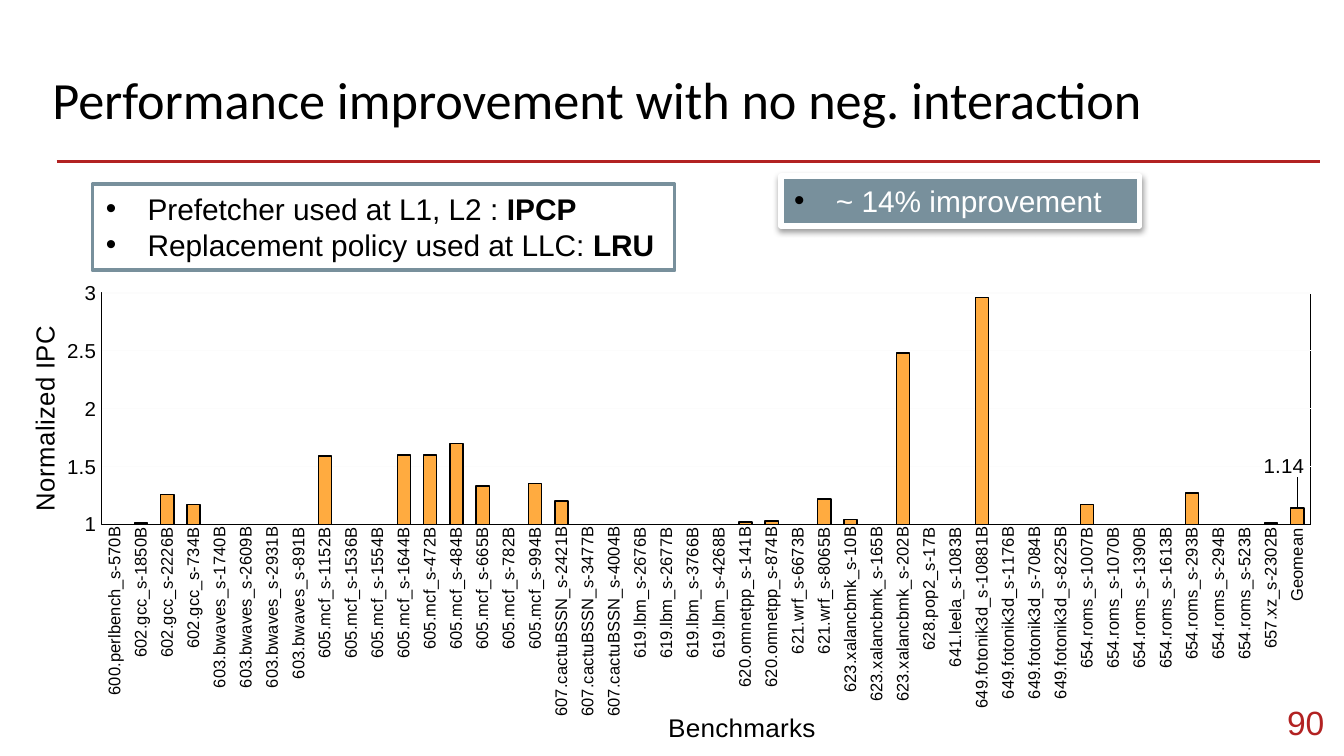
from lxml import etree
from pptx import Presentation
from pptx.chart.data import CategoryChartData
from pptx.dml.color import RGBColor
from pptx.enum.chart import XL_CHART_TYPE, XL_LABEL_POSITION, XL_TICK_MARK
from pptx.enum.shapes import MSO_CONNECTOR, MSO_SHAPE
from pptx.enum.text import MSO_ANCHOR, MSO_AUTO_SIZE, PP_ALIGN
from pptx.oxml import parse_xml
from pptx.oxml.ns import nsdecls, qn
from pptx.util import Cm, Pt

COLUMNS = XL_CHART_TYPE.COLUMN_CLUSTERED
OUTSIDE = XL_LABEL_POSITION.OUTSIDE_END
NO_TICK = XL_TICK_MARK.NONE
STRAIGHT = MSO_CONNECTOR.STRAIGHT
RECTANGLE = MSO_SHAPE.RECTANGLE
TOP, MIDDLE = MSO_ANCHOR.TOP, MSO_ANCHOR.MIDDLE
GROW = MSO_AUTO_SIZE.SHAPE_TO_FIT_TEXT
RIGHT = PP_ALIGN.RIGHT

BLACK = RGBColor(0x00, 0x00, 0x00)
WHITE = RGBColor(0xFF, 0xFF, 0xFF)
RED = RGBColor(0xB2, 0x22, 0x22)
SLATE = RGBColor(0x78, 0x90, 0x9C)
ORANGE = RGBColor(0xFF, 0xAB, 0x40)
GRID = RGBColor(0xFC, 0xFC, 0xFC)

SPEEDUPS = {
    "600.perlbench_s": {"570B": 1},
    "602.gcc_s": {"1850B": 1.01, "2226B": 1.26, "734B": 1.17},
    "603.bwaves_s": {"1740B": 1, "2609B": 1, "2931B": 1, "891B": 1},
    "605.mcf_s": {"1152B": 1.59, "1536B": 1, "1554B": 1, "1644B": 1.6, "472B": 1.6,
                  "484B": 1.7, "665B": 1.33, "782B": 1, "994B": 1.35},
    "607.cactuBSSN_s": {"2421B": 1.2, "3477B": 1, "4004B": 1},
    "619.lbm_s": {"2676B": 1, "2677B": 1, "3766B": 1, "4268B": 1},
    "620.omnetpp_s": {"141B": 1.02, "874B": 1.03},
    "621.wrf_s": {"6673B": 1, "8065B": 1.22},
    "623.xalancbmk_s": {"10B": 1.04, "165B": 1, "202B": 2.48},
    "628.pop2_s": {"17B": 1},
    "641.leela_s": {"1083B": 1},
    "649.fotonik3d_s": {"10881B": 2.96, "1176B": 1, "7084B": 1, "8225B": 1},
    "654.roms_s": {"1007B": 1.17, "1070B": 1, "1390B": 1, "1613B": 1,
                   "293B": 1.27, "294B": 1, "523B": 1},
    "657.xz_s": {"2302B": 1.01},
}
GEOMEAN = 1.14


def style_font(font, size, color=BLACK, name="Arial"):
    """Set size, colour and typeface of a font."""
    font.size, font.name = Pt(size), name
    font.color.rgb = color


def add_span(para, text, size, color=BLACK, name="Arial", bold=False):
    """Append one formatted run to a paragraph."""
    span = para.add_run()
    span.text = text
    style_font(span.font, size, color, name)
    span.font.bold = bold


def set_insets(frame, inset):
    """Give a text frame the same inset on all four sides."""
    frame.margin_left = frame.margin_right = inset
    frame.margin_top = frame.margin_bottom = inset


def add_header(page, left, top, width, height):
    """Fill the title placeholder and draw the rule under it."""
    title = page.shapes.title
    title.left, title.top, title.width, title.height = left, top, width, height
    frame = title.text_frame
    set_insets(frame, Cm(0.25))
    frame.vertical_anchor, frame.word_wrap = TOP, True
    para = frame.paragraphs[0]
    para.alignment = PP_ALIGN.LEFT
    add_span(para, "Performance improvement with no neg. interaction", 28, name="Calibri")
    rule_y = top + Cm(2.03)
    rule = page.shapes.add_connector(STRAIGHT, left + Cm(0.33), rule_y, left + Cm(24.2), rule_y)
    rule.line.color.rgb, rule.line.width = RED, Pt(1.5)
    etree.SubElement(rule.element.spPr, qn("a:effectLst"))


def add_page_number(page, left, top, width, height):
    """Place the slide number in the lower right corner."""
    frame = page.shapes.add_textbox(left, top, width, height).text_frame
    frame.word_wrap, frame.vertical_anchor = True, MIDDLE
    set_insets(frame, Cm(0.25))
    frame.paragraphs[0].alignment = RIGHT
    add_span(frame.paragraphs[0], "90", 18, RED)


def add_bullet(para):
    """Give a paragraph a hanging black bullet."""
    properties = para._p.get_or_add_pPr()
    properties.set("marL", str(Cm(0.79)))
    properties.set("indent", str(-Cm(0.79)))
    for child in ('<a:buClr {}><a:srgbClr val="000000"/></a:buClr>',
                  '<a:buFont {} typeface="Arial"/>',
                  '<a:buChar {} char="•"/>'):
        properties.append(parse_xml(child.format(nsdecls("a"))))


def add_callout(page, left, top, width, height, lines, fill, border, weight, color, wrap):
    """Draw a bordered box of bullets, each a list of (text, bold) spans."""
    box = page.shapes.add_shape(RECTANGLE, left, top, width, height)
    box.shadow.inherit = False
    box.fill.solid()
    box.fill.fore_color.rgb = fill
    box.line.color.rgb, box.line.width = border, Pt(weight)
    frame = box.text_frame
    frame.word_wrap, frame.auto_size, frame.vertical_anchor = wrap, GROW, TOP
    for index, spans in enumerate(lines):
        para = frame.add_paragraph() if index else frame.paragraphs[0]
        para.alignment = PP_ALIGN.LEFT
        add_bullet(para)
        for text, bold in spans:
            add_span(para, text, 16, color, bold=bold)
    return box


def add_drop_shadow(box):
    """Add a soft shadow straight below a shape."""
    effects = box.element.spPr.find(qn("a:effectLst"))
    effects.append(parse_xml(
        f'<a:outerShdw {nsdecls("a")} blurRad="{Pt(3.1)}" dist="{Pt(1.6)}" dir="5400000" '
        'rotWithShape="0"><a:srgbClr val="000000"><a:alpha val="38000"/></a:srgbClr>'
        '</a:outerShdw>'))


def make_layout(x, y, size="", mode="edge", target=""):
    """Return a manual chart layout in fractions of the chart."""
    modes = f'<c:xMode val="{mode}"/><c:yMode val="{mode}"/>' if mode else ""
    return parse_xml(f'<c:layout {nsdecls("c")}><c:manualLayout>{target}{modes}'
                     f'<c:x val="{x}"/><c:y val="{y}"/>{size}</c:manualLayout></c:layout>')


def place_layout(parent, index, layout):
    """Put a layout at the given child index, replacing any other."""
    for old in parent.findall(qn("c:layout")):
        parent.remove(old)
    parent.insert(index, layout)


def style_axis(axis, title, size, x, y):
    """Format the labels and the placed title of an axis."""
    axis.major_tick_mark = axis.minor_tick_mark = NO_TICK
    style_font(axis.tick_labels.font, size)
    frame = axis.axis_title.text_frame
    add_span(frame.paragraphs[0], title, 14)
    place_layout(axis.axis_title._element, 1, make_layout(x, y))
    return frame


def add_speedup_chart(page, left, top, width, height):
    """Draw the normalized IPC of every benchmark trace as columns."""
    bars = [(f"{name}-{trace}", value)
            for name, traces in SPEEDUPS.items() for trace, value in traces.items()]
    bars.append(("Geomean", GEOMEAN))
    data = CategoryChartData()
    data.categories = [name for name, value in bars]
    data.add_series("Series 1", [value for name, value in bars])
    chart = page.shapes.add_chart(COLUMNS, left, top, width, height, data).chart
    chart.has_legend = chart.has_title = False
    style_font(chart.font, 10)

    category_axis, value_axis = chart.category_axis, chart.value_axis
    style_axis(category_axis, "Benchmarks", 9, 0.49, 0.93)
    category_axis.format.line.color.rgb, category_axis.format.line.width = BLACK, Pt(0.75)
    category_axis.tick_labels.font._element.getparent().getparent().getparent().find(
        qn("a:bodyPr")).set("rot", "-5400000")
    frame = style_axis(value_axis, "Normalized IPC", 11, 0.01, 0.17)
    frame._txBody.find(qn("a:bodyPr")).set("rot", "-5400000")
    value_axis.minimum_scale, value_axis.maximum_scale, value_axis.major_unit = 1, 3, 0.5
    value_axis.format.line.fill.background()
    grid = value_axis.major_gridlines.format.line
    grid.color.rgb, grid.width = GRID, Pt(0.75)

    plot = chart.plots[0]
    plot.gap_width, plot.overlap, plot.vary_by_categories = 100, -24, False
    series = plot.series[0]
    series.format.fill.solid()
    series.format.fill.fore_color.rgb = ORANGE
    series.format.line.color.rgb, series.format.line.width = BLACK, Pt(0.75)

    series.data_labels.show_value = False
    label = series.points[len(bars) - 1].data_label
    style_font(label.font, 11)
    label.position = OUTSIDE
    labels = series.data_labels._element
    place_layout(labels.find(qn("c:dLbl")), 1, make_layout(-0.01, -0.05, mode=""))
    labels.append(parse_xml(
        f'<c:extLst {nsdecls("c")}><c:ext uri="{{CE6537A1-D6FC-4f65-9D91-7224C49458BB}}" '
        'xmlns:c15="http://schemas.microsoft.com/office/drawing/2012/chart">'
        '<c15:showLeaderLines val="1"/></c:ext></c:extLst>'))

    area = chart._chartSpace.chart.plotArea
    place_layout(area, 0, make_layout(0.069, 0.109, '<c:w val="0.906"/><c:h val="0.459"/>',
                                      target='<c:layoutTarget val="inner"/>'))
    area.append(parse_xml(
        f'<c:spPr {nsdecls("c", "a")}><a:noFill/><a:ln w="{Pt(0.75)}"><a:solidFill>'
        f'<a:srgbClr val="{BLACK}"/></a:solidFill></a:ln></c:spPr>'))


def main():
    """Build the slide and save the deck."""
    deck = Presentation()
    deck.slide_width, deck.slide_height = Cm(25.4), Cm(14.29)
    page = deck.slides.add_slide(deck.slide_layouts[5])
    add_header(page, Cm(0.74), Cm(1.02), Cm(23.67), Cm(2.46))
    add_page_number(page, Cm(23.5), Cm(13.11), Cm(1.78), Cm(1.09))
    setup = [[("Prefetcher used at L1, L2 : ", False), ("IPCP", True)],
             [("Replacement policy used at LLC: ", False), ("LRU", True)]]
    add_callout(page, Cm(1.75), Cm(3.48), Cm(11), Cm(1.63), setup, WHITE, SLATE, 2, BLACK, False)
    gain = add_callout(page, Cm(14.76), Cm(3.33), Cm(6.78), Cm(0.94),
                       [[("~ 14% improvement", False)]], SLATE, WHITE, 3, WHITE, True)
    add_drop_shadow(gain)
    add_speedup_chart(page, Cm(0.18), Cm(4.5), Cm(25.22), Cm(9.7))
    deck.save("out.pptx")


if __name__ == "__main__":
    main()
